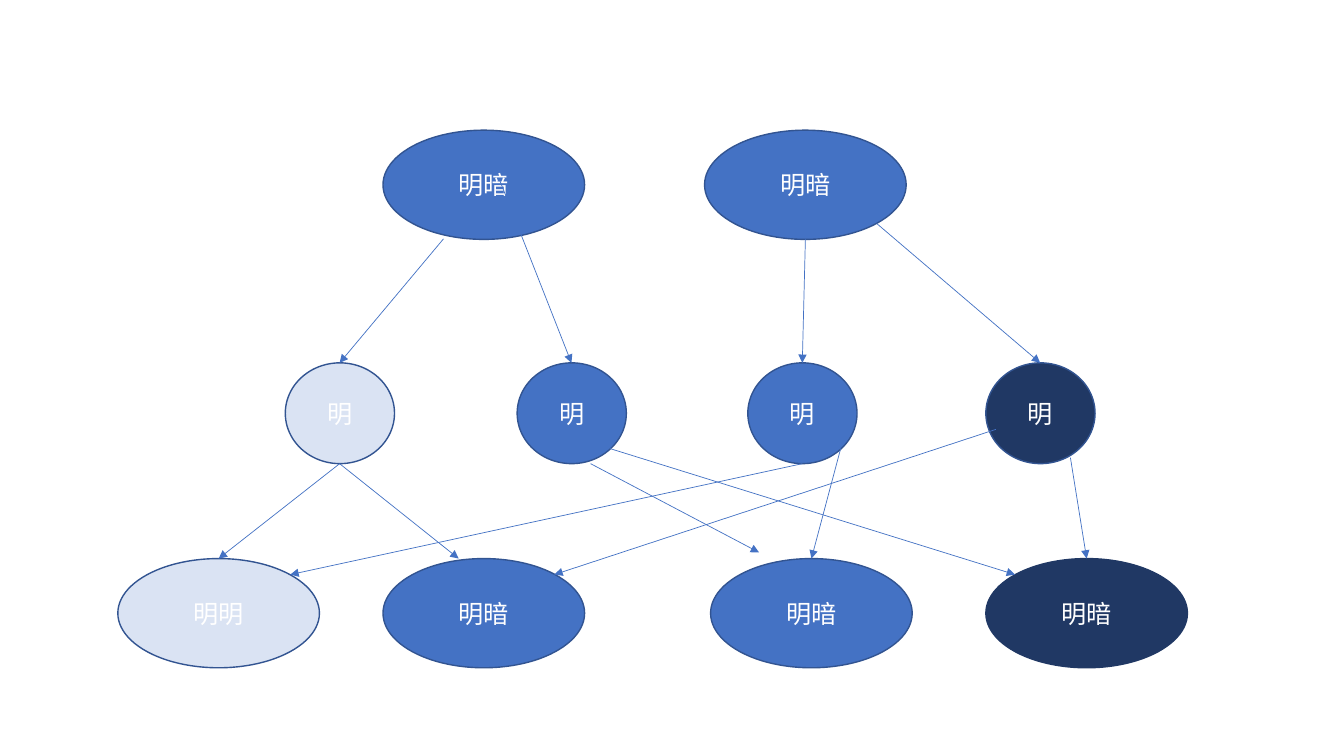
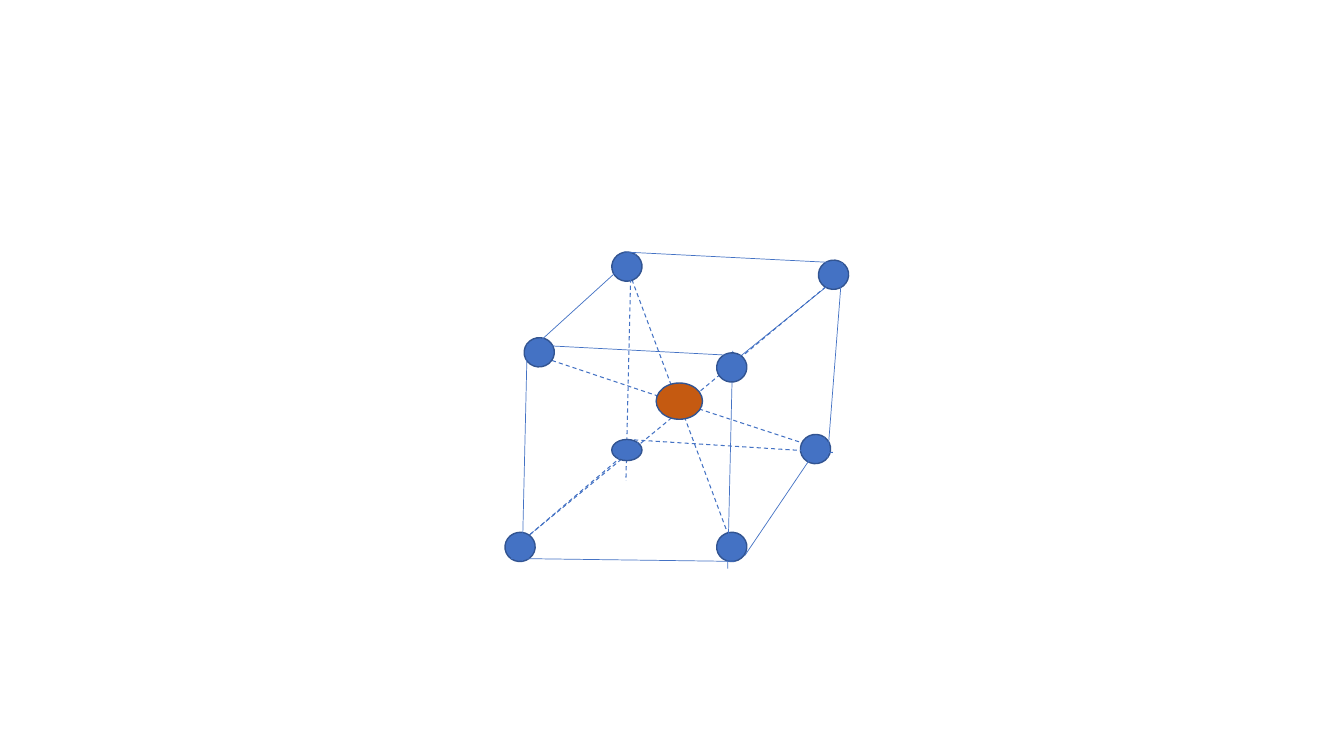
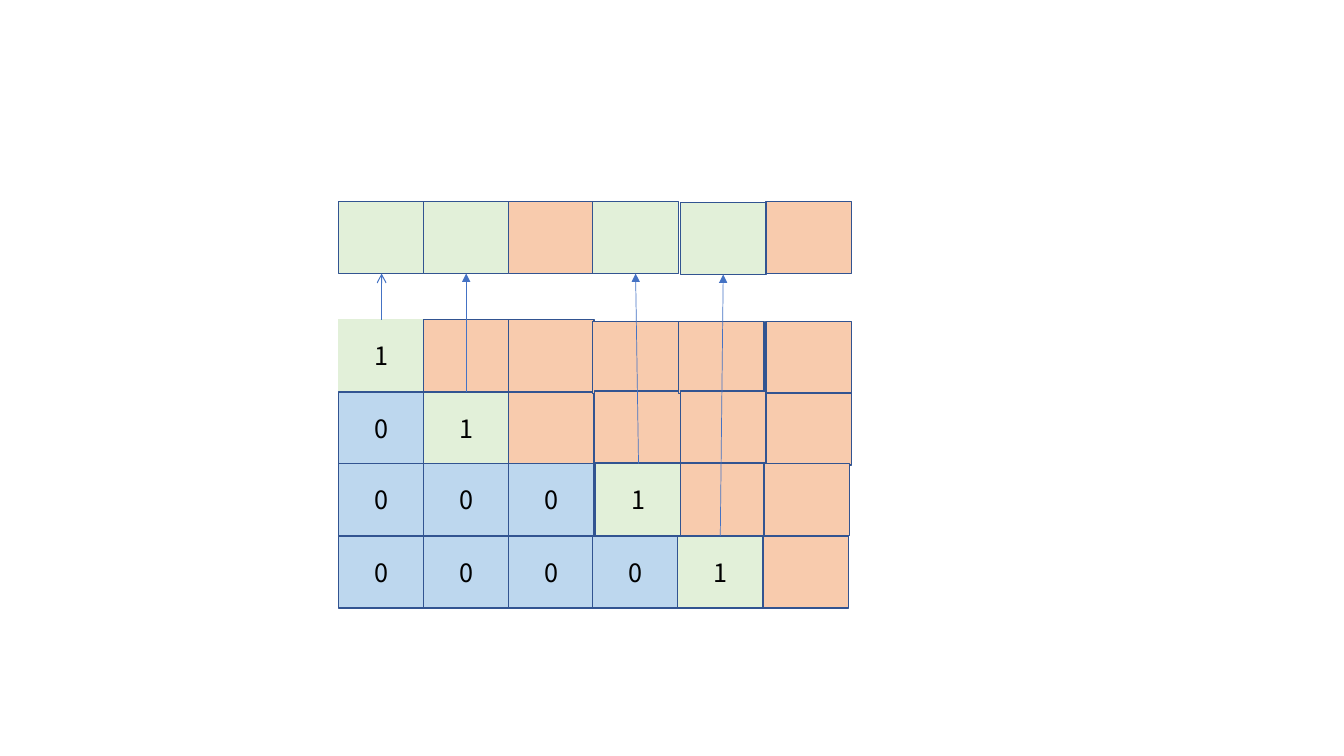
from dataclasses import dataclass
from typing import Optional

from lxml.etree import SubElement
from pptx import Presentation
from pptx.dml.color import RGBColor
from pptx.enum.dml import MSO_LINE
from pptx.enum.shapes import MSO_CONNECTOR, MSO_SHAPE
from pptx.enum.text import MSO_ANCHOR, PP_ALIGN
from pptx.oxml.ns import qn
from pptx.util import Pt

BLUE = RGBColor(0x44, 0x72, 0xC4)
OUTLINE = RGBColor(0x32, 0x54, 0x91)
PALE_BLUE = RGBColor(0xDA, 0xE3, 0xF3)
NAVY = RGBColor(0x20, 0x38, 0x64)
ORANGE = RGBColor(0xC5, 0x5A, 0x11)
WHITE = RGBColor(0xFF, 0xFF, 0xFF)
BLACK = RGBColor(0x00, 0x00, 0x00)
GREEN_CELL = RGBColor(0xE2, 0xF0, 0xD9)
BLUE_CELL = RGBColor(0xBD, 0xD7, 0xEE)
ORANGE_CELL = RGBColor(0xF8, 0xCB, 0xAD)
FONT = "Noto Sans CJK SC"


@dataclass(frozen=True)
class Node:
    left: float
    top: float
    width: float
    height: float
    fill: RGBColor = BLUE
    outline: RGBColor = OUTLINE
    text: str = ""
    text_color: RGBColor = WHITE
    rotation: float = 0
    preset: MSO_SHAPE = MSO_SHAPE.OVAL


@dataclass(frozen=True)
class Link:
    start_x: float
    start_y: float
    end_x: float
    end_y: float
    width: float = 0.5
    dashed: bool = False
    head: Optional[str] = None


def write_text(shape, text: str, *, color: RGBColor, size: float = 18, font: str = FONT) -> None:
    frame = shape.text_frame
    frame.word_wrap = True
    frame.vertical_anchor = MSO_ANCHOR.MIDDLE
    paragraph = frame.paragraphs[0]
    paragraph.alignment = PP_ALIGN.CENTER
    run = paragraph.add_run()
    run.text = text
    run.font.size = Pt(size)
    run.font.name = font
    run.font.color.rgb = color
    SubElement(run.font._element, qn("a:ea")).set("typeface", font)


def draw_node(slide, node: Node):
    shape = slide.shapes.add_shape(
        node.preset, Pt(node.left), Pt(node.top), Pt(node.width), Pt(node.height)
    )
    shape.shadow.inherit = False
    shape.rotation = node.rotation
    shape.fill.solid()
    shape.fill.fore_color.rgb = node.fill
    shape.line.color.rgb = node.outline
    shape.line.width = Pt(1)
    if node.text:
        write_text(shape, node.text, color=node.text_color)
    return shape


def draw_link(slide, link: Link):
    connector = slide.shapes.add_connector(
        MSO_CONNECTOR.STRAIGHT,
        Pt(link.start_x), Pt(link.start_y), Pt(link.end_x), Pt(link.end_y),
    )
    connector.line.color.rgb = BLUE
    connector.line.width = Pt(link.width)
    if link.dashed:
        connector.line.dash_style = MSO_LINE.DASH
    properties = connector._element.spPr
    if link.head:
        SubElement(properties.find(qn("a:ln")), qn("a:tailEnd")).set("type", link.head)
    SubElement(properties, qn("a:effectLst"))
    return connector


def draw_links(slide, coordinates, **style) -> None:
    for points in coordinates:
        draw_link(slide, Link(*points, **style))


WIDE = (144, 78)
ROUND = (78, 72)
TREE_LEVELS = (
    (93, WIDE, ((273.6, "明暗", BLUE), (503.3, "明暗", BLUE))),
    (259.2, ROUND, (
        (203.8, "明", PALE_BLUE), (369.4, "明", BLUE),
        (534.2, "明", BLUE), (704.2, "明", NAVY),
    )),
    (399, WIDE, (
        (84.2, "明明", PALE_BLUE), (273.6, "明暗", BLUE),
        (507.6, "明暗", BLUE), (704.2, "明暗", NAVY),
    )),
)
TREE_ARROWS = (
    (356.4, 127.4, 408.2, 259.2),
    (316.8, 170.6, 242.6, 259.2),
    (575.3, 170.6, 573.1, 259.2),
    (626.4, 159.8, 743, 259.2),
    (242.6, 331.2, 156.2, 399),
    (242.6, 331.2, 327.6, 399),
    (421.9, 331.2, 542.2, 394.6),
    (435.6, 320.4, 725, 410.4),
    (573.1, 331.2, 207.4, 410.4),
    (600.5, 320.4, 579.6, 399),
    (711.4, 306.7, 396, 410.4),
    (764.6, 326.9, 776.2, 399),
)


def build_tree(slide) -> None:
    for top, size, entries in TREE_LEVELS:
        for left, text, fill in entries:
            outline = NAVY if fill == NAVY and size == WIDE else OUTLINE
            draw_node(slide, Node(left, top, *size, fill, outline, text))
    draw_links(slide, TREE_ARROWS, head="triangle")


CUBE_DIAGONALS = (
    (447.8, 190.1, 485.3, 290.9),
    (378, 382.3, 488.9, 290.9),
    (384.5, 254.2, 485.3, 288),
    (485.3, 288, 522.7, 388.8),
    (484.6, 287.3, 585.4, 320.4),
    (484.6, 292.3, 595.4, 200.2),
)
CUBE_VERTICES = (
    (437, 180), (511.9, 380.2), (374.4, 241.2),
    (571.7, 310.3), (360.7, 380.2), (584.6, 185.8),
)
FRONT_VERTEX = (511.9, 252)
CUBE_EDGES = (
    (376.6, 246.2, 373, 401),
    (375.1, 253.4, 454.3, 181.4),
    (445.7, 180, 601.9, 187.9),
    (601.9, 187.9, 591.1, 326.9),
    (589, 312.5, 532.1, 396.7),
    (365, 398.9, 524.9, 401),
    (523.4, 250.6, 519.8, 406.1),
    (529.2, 254.2, 600.5, 196.6),
)
FRONT_TOP_EDGE = (376.6, 246.2, 529.2, 254.2)
HIDDEN_EDGES = (
    (450.7, 188.6, 447.1, 343.4),
    (447.8, 313.9, 596.2, 323.3),
)
HIDDEN_DEPTH_EDGE = (455.8, 316.1, 378, 382.3)


def draw_vertex(slide, left: float, top: float) -> None:
    draw_node(slide, Node(left, top, 21.6, 20.9, rotation=350.5))


def build_cube(slide) -> None:
    draw_links(slide, CUBE_DIAGONALS, width=0.75, dashed=True)
    for position in CUBE_VERTICES:
        draw_vertex(slide, *position)
    draw_links(slide, CUBE_EDGES)
    draw_vertex(slide, *FRONT_VERTEX)
    draw_links(slide, (FRONT_TOP_EDGE,))
    draw_links(slide, HIDDEN_EDGES, width=0.75, dashed=True)
    draw_node(slide, Node(437, 313.9, 21.6, 15.1))
    draw_links(slide, (HIDDEN_DEPTH_EDGE,), width=0.75, dashed=True)
    draw_node(slide, Node(468.7, 273.6, 33.1, 25.9, ORANGE))


CELL_WIDTH, CELL_HEIGHT = 61.2, 51.4
COLUMN_LEFTS = (242, 302.4, 363, 423.4, 486, 547.2)
ROW_TOPS = (144, 228.4, 280, 331.2, 383)
CELL_ROWS = ("GGOGGO", "1OOOOO", "01OOOO", "0001OO", "00001O")
CELL_FILLS = {"G": GREEN_CELL, "1": GREEN_CELL, "0": BLUE_CELL, "O": ORANGE_CELL}
CELL_NUDGES = {
    (0, 4): (0, 0.7),
    (1, 3): (0, 1.4), (1, 4): (-1.4, 1.4), (1, 5): (0, 1.4),
    (2, 3): (1.4, -0.7), (2, 4): (0, -0.7), (2, 5): (0, 0.7),
    (3, 3): (2.1, 0), (3, 5): (-1.4, 0),
    (4, 4): (-2.1, 0), (4, 5): (-2.1, 0),
}
PIVOTS = ((1, 0), (2, 1), (3, 3), (4, 4))
TOP_SIDE, BOTTOM_SIDE = 0, 2


def build_matrix(slide) -> None:
    cells = {}
    for column, left in enumerate(COLUMN_LEFTS):
        for row, top in enumerate(ROW_TOPS):
            symbol = CELL_ROWS[row][column]
            shift_x, shift_y = CELL_NUDGES.get((row, column), (0, 0))
            cells[row, column] = draw_node(slide, Node(
                left + shift_x, top + shift_y, CELL_WIDTH, CELL_HEIGHT,
                fill=CELL_FILLS[symbol],
                outline=GREEN_CELL if (row, column) == PIVOTS[0] else OUTLINE,
                text=symbol if symbol.isdigit() else "",
                text_color=BLACK,
                preset=MSO_SHAPE.RECTANGLE,
            ))
    for row, column in PIVOTS:
        first = (row, column) == PIVOTS[0]
        middle = COLUMN_LEFTS[column] + CELL_WIDTH / 2
        connector = draw_link(slide, Link(
            middle, ROW_TOPS[row], middle, ROW_TOPS[0] + CELL_HEIGHT,
            width=0.75 if first else 0.5,
            head="arrow" if first else "triangle",
        ))
        connector.begin_connect(cells[row, column], TOP_SIDE)
        connector.end_connect(cells[0, column], BOTTOM_SIDE)


def main() -> None:
    presentation = Presentation()
    presentation.slide_width = Pt(960)
    presentation.slide_height = Pt(540)
    blank_layout = presentation.slide_layouts[6]
    for build in (build_tree, build_cube, build_matrix):
        build(presentation.slides.add_slide(blank_layout))
    presentation.save("out.pptx")


if __name__ == "__main__":
    main()
